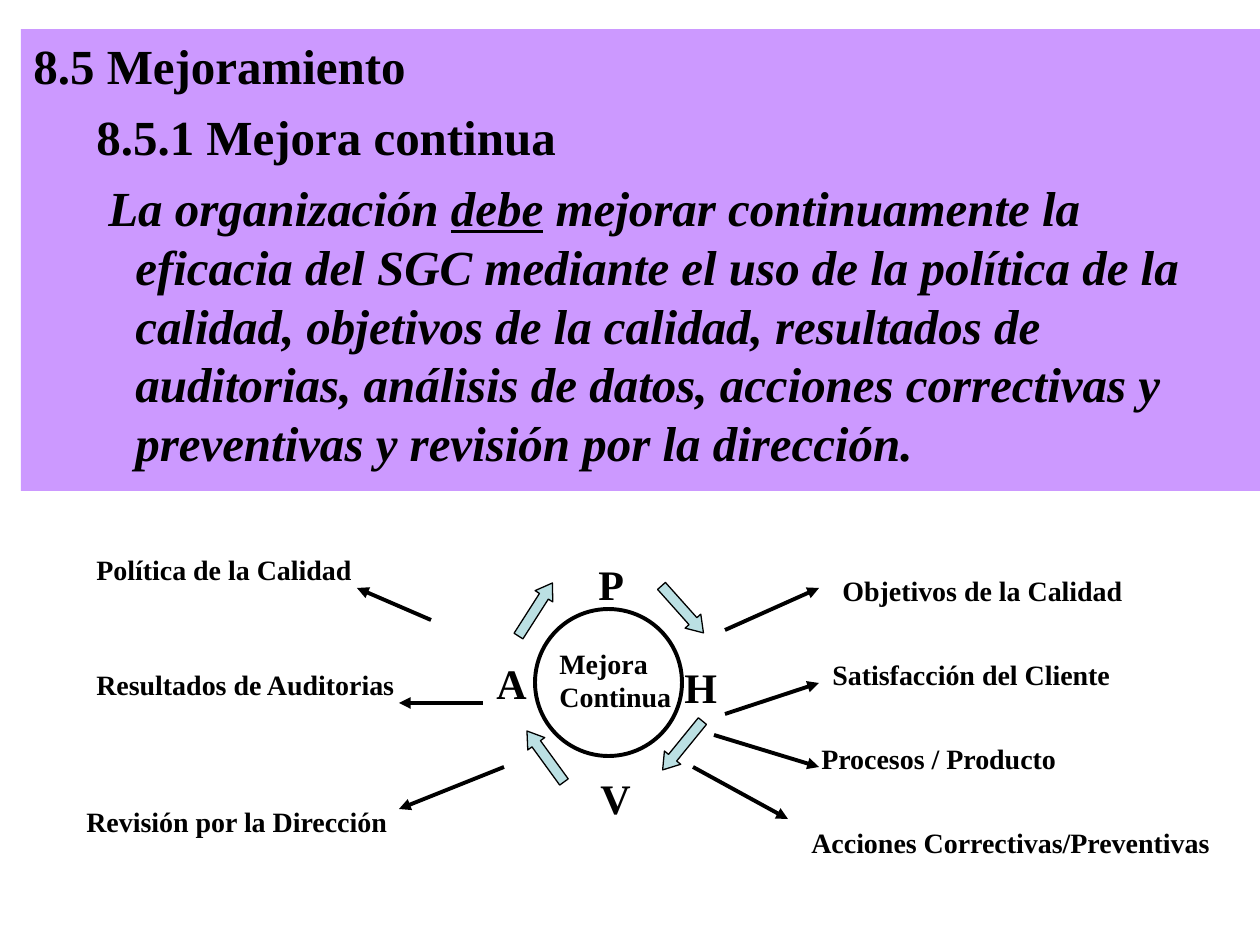
import pptx
import pptx.util
import pptx.dml.color
import pptx.enum.shapes
import pptx.enum.text
import pptx.oxml
import pptx.oxml.ns

RGB = pptx.dml.color.RGBColor
KIND = pptx.enum.shapes.MSO_SHAPE
BLACK = RGB(0, 0, 0)
LILAC = RGB(0xCC, 0x99, 0xFF)
TEAL = RGB(0xBB, 0xE0, 0xE3)
FONT = "Times New Roman"
SCALE = 914400 / 126  # EMU per px


def px(num):
    return pptx.util.Emu(round(num * SCALE))


def style(para, size):
    font = para.font
    font.name, font.size, font.bold = FONT, pptx.util.Pt(size), True
    font.color.rgb = BLACK


def shape(slide, kind, box, fill=None, width=None):
    item = slide.shapes.add_shape(kind, *map(px, box))
    item.shadow.inherit = False
    if fill is None:
        item.fill.background()
    else:
        item.fill.solid()
        item.fill.fore_color.rgb = fill
    if width is None:
        item.line.fill.background()
    else:
        item.line.color.rgb = BLACK
        item.line.width = pptx.util.Pt(width)
    return item


def label(slide, text, box, size=16):
    frame = slide.shapes.add_textbox(*map(px, box)).text_frame
    frame.word_wrap = False
    frame.auto_size = pptx.enum.text.MSO_AUTO_SIZE.SHAPE_TO_FIT_TEXT
    frame.text = text
    for para in frame.paragraphs:
        style(para, size)


def turn(slide, left, top, angle):
    item = shape(slide, KIND.RIGHT_ARROW, (left, top, 63, 21), TEAL, 0.75)
    item.adjustments[1] = 0.75
    item.rotation = angle


def arrow(slide, *ends):
    line = slide.shapes.add_connector(
        pptx.enum.shapes.MSO_CONNECTOR.STRAIGHT, *map(px, ends))
    line.line.color.rgb = BLACK
    line.line.width = pptx.util.Pt(2.25)
    tip = pptx.oxml.parse_xml(
        f'<a:tailEnd {pptx.oxml.ns.nsdecls("a")} type="triangle"/>')
    line.line._get_or_add_ln().append(tip)
    flat = pptx.oxml.parse_xml(f'<a:effectLst {pptx.oxml.ns.nsdecls("a")}/>')
    line._element.spPr.append(flat)


def panel(slide):
    frame = shape(slide, KIND.RECTANGLE, (21, 29, 1239, 462), LILAC).text_frame
    frame.word_wrap = True
    frame.vertical_anchor = pptx.enum.text.MSO_ANCHOR.TOP
    # Left margin, first-line indent, runs
    rows = [
        (48, -48, ["8.5 Mejoramiento"]),
        (102, -39, ["8.5.1 Mejora continua"]),
        (102, -27, [
            "La organización ", "debe",
            " mejorar continuamente la eficacia del SGC mediante el uso de "
            "la política de la calidad, objetivos de la calidad, resultados "
            "de auditorias, análisis de datos, acciones correctivas y "
            "preventivas y revisión por la dirección."]),
    ]
    for num, (left, first, runs) in enumerate(rows):
        para = frame.add_paragraph() if num else frame.paragraphs[0]
        props = para._p.get_or_add_pPr()
        props.set("marL", str(px(left)))
        props.set("indent", str(px(first)))
        para.alignment = pptx.enum.text.PP_ALIGN.LEFT
        if num:
            para.space_before = pptx.util.Pt(7)
        style(para, 28)
        para.font.italic = num == 2
        for text in runs:
            run = para.add_run()
            run.text = text
            if text == "debe":
                run.font.underline = True


def main():
    deck = pptx.Presentation()
    deck.slide_width, deck.slide_height = px(1260), px(945)
    slide = deck.slides.add_slide(deck.slide_layouts[6])

    # Clause text
    panel(slide)

    # Inputs and results around the cycle
    for text, left, top, width in [
        ("Política de la Calidad", 84, 546, 284),
        ("Resultados de Auditorias", 84, 661, 328),
        ("Revisión por la Dirección", 74, 798, 330),
        ("Objetivos de la Calidad", 830, 567, 309),
        ("Satisfacción del Cliente", 820, 651, 306),
        ("Procesos / Producto", 809, 735, 265),
        ("Acciones Correctivas/Preventivas", 799, 819, 429),
    ]:
        label(slide, text, (left, top, width, 46))

    # Cycle: letters, ring and turning arrows
    for text, left, top, width in [
        ("P", 586, 552, 52), ("H", 672, 655, 60),
        ("V", 588, 766, 57), ("A", 484, 651, 57),
    ]:
        label(slide, text, (left, top, width, 63), 24)
    shape(slide, KIND.OVAL, (535, 609, 147, 147), width=2.25)
    for left, top, angle in [
        (651, 599, 48.2), (651, 735, 129.2),
        (514, 746, 234), (504, 599, 302.6),
    ]:
        turn(slide, left, top, angle)
    label(slide, "Mejora\nContinua", (547, 640, 142, 81))

    # Arrows out to the labels
    for ends in [
        (725, 630, 819, 588), (725, 714, 819, 683),
        (714, 735, 819, 767), (693, 767, 788, 819),
        (504, 767, 399, 809), (483, 703, 399, 703),
        (431, 620, 357, 588),
    ]:
        arrow(slide, *ends)

    deck.save("out.pptx")


if __name__ == "__main__":
    main()
